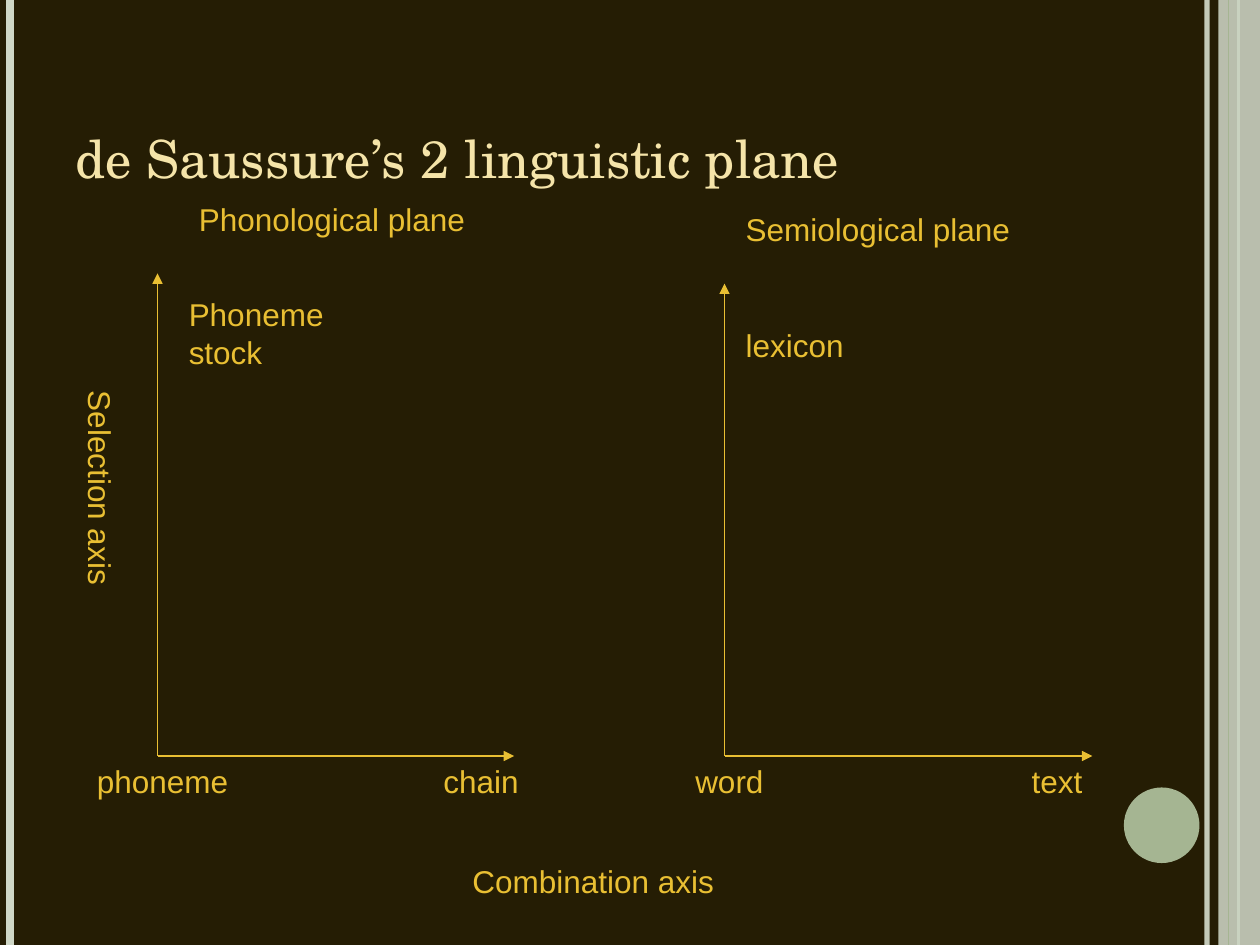
from pptx import Presentation
from pptx.dml.color import RGBColor
from pptx.enum.shapes import MSO_CONNECTOR, MSO_SHAPE
from pptx.enum.text import MSO_ANCHOR, MSO_AUTO_SIZE, PP_ALIGN
from pptx.oxml.ns import qn
from pptx.util import Inches, Pt
from lxml import etree

STRAIGHT = MSO_CONNECTOR.STRAIGHT
RECT, OVAL = MSO_SHAPE.RECTANGLE, MSO_SHAPE.OVAL
BOTTOM, LEFT = MSO_ANCHOR.BOTTOM, PP_ALIGN.LEFT
FIT = MSO_AUTO_SIZE.SHAPE_TO_FIT_TEXT

DARK = RGBColor(0x25, 0x1D, 0x04)
PALE = RGBColor(0xCF, 0xD7, 0xC7)
SAGE = RGBColor(0xA5, 0xB5, 0x92)
GOLD = RGBColor(0xE9, 0xBF, 0x33)
CREAM = RGBColor(0xF5, 0xE4, 0xA9)


class Deck:
    """Holds the style and the current slide, and adds each kind of element."""

    def __init__(self, prs):
        self.title_font, self.font = "TeX Gyre Schola", "Arial"
        self.title_size, self.size = Pt(30), Pt(18)
        self.s = prs.slides.add_slide(prs.slide_layouts[5])
        fill = self.s.background.fill
        fill.solid()
        fill.fore_color.rgb = DARK

    def set_alpha(self, sp, percent):
        clr = next(sp._element.spPr.iter(qn("a:srgbClr")))
        etree.SubElement(clr, qn("a:alpha")).set("val", str(percent * 1000))

    def line(self, start, end, color, width, alpha=100, arrow=False):
        ends = [Inches(v) for v in (*start, *end)]
        sp = self.s.shapes.add_connector(STRAIGHT, *ends)
        sp.line.color.rgb = color
        sp.line.width = Pt(width)
        if alpha < 100:
            self.set_alpha(sp, alpha)
        if arrow:
            ln = sp.line._get_or_add_ln()
            etree.SubElement(ln, qn("a:tailEnd")).set("type", "triangle")
        etree.SubElement(sp._element.spPr, qn("a:effectLst"))

    def shape(self, kind, box, color, alpha=100):
        sp = self.s.shapes.add_shape(kind, *[Inches(v) for v in box])
        sp.shadow.inherit = False
        sp.fill.solid()
        sp.fill.fore_color.rgb = color
        sp.line.fill.background()
        if alpha < 100:
            self.set_alpha(sp, alpha)

    def style(self, p, font, size, color):
        p.alignment = LEFT
        p.font.name, p.font.size = font, size
        p.font.color.rgb = color

    def title(self, text, box):
        sp = self.s.shapes.title
        sp.left, sp.top, sp.width, sp.height = [Inches(v) for v in box]
        tf = sp.text_frame
        tf.text = text
        tf.vertical_anchor = BOTTOM
        self.style(tf.paragraphs[0], self.title_font, self.title_size, CREAM)

    def label(self, text, box, vertical=False):
        sp = self.s.shapes.add_textbox(*[Inches(v) for v in box])
        tf = sp.text_frame
        tf.text = text
        tf.word_wrap = False
        tf.auto_size = FIT
        if vertical:
            tf.margin_left = tf.margin_right = Inches(0.05)
            tf.margin_top = tf.margin_bottom = Inches(0.1)
            tf._txBody.bodyPr.set("vert", "eaVert")
        for p in tf.paragraphs:
            self.style(p, self.font, self.size, GOLD)

    def axes(self, x, y, top, right):
        for end in ((x, top), (right, y)):
            self.line((x, y), end, GOLD, 0.75, arrow=True)


def main():
    prs = Presentation()
    prs.slide_width, prs.slide_height = Inches(10), Inches(7.5)
    deck = Deck(prs)

    deck.line((9.58, 0), (9.58, 7.5), PALE, 3, alpha=93)
    deck.line((0.08, 0), (0.08, 7.5), PALE, 4.5)
    deck.line((9.83, 0), (9.83, 7.5), SAGE, 1.5)
    deck.shape(RECT, (9.67, 0, 0.33, 7.5), PALE, alpha=87)
    deck.line((9.75, 0), (9.75, 7.5), SAGE, 0.75)
    deck.shape(OVAL, (8.92, 6.25, 0.6, 0.6), SAGE)

    deck.title("de Saussure’s 2 linguistic plane", (0.5, 0.3, 8.17, 1.25))
    deck.axes(1.25, 6, top=2.17, right=4.08)
    deck.axes(5.75, 6, top=2.25, right=8.67)

    deck.label("Phoneme\nstock", (1.4, 2.29, 1.34, 0.7))
    deck.label("Selection axis", (0.5, 3, 0.5, 1.65), vertical=True)
    for text, x, y, width in (
        ("phoneme", 0.67, 6, 1.24),
        ("chain", 3.42, 6, 0.8),
        ("word", 5.42, 6, 0.74),
        ("text", 8.09, 6, 0.6),
        ("lexicon", 5.82, 2.54, 0.98),
        ("Phonological plane", 1.48, 1.54, 2.31),
        ("Semiological plane", 5.82, 1.62, 2.3),
        ("Combination axis", 3.65, 6.79, 2.12),
    ):
        deck.label(text, (x, y, width, 0.4))

    prs.save("out.pptx")


if __name__ == "__main__":
    main()
